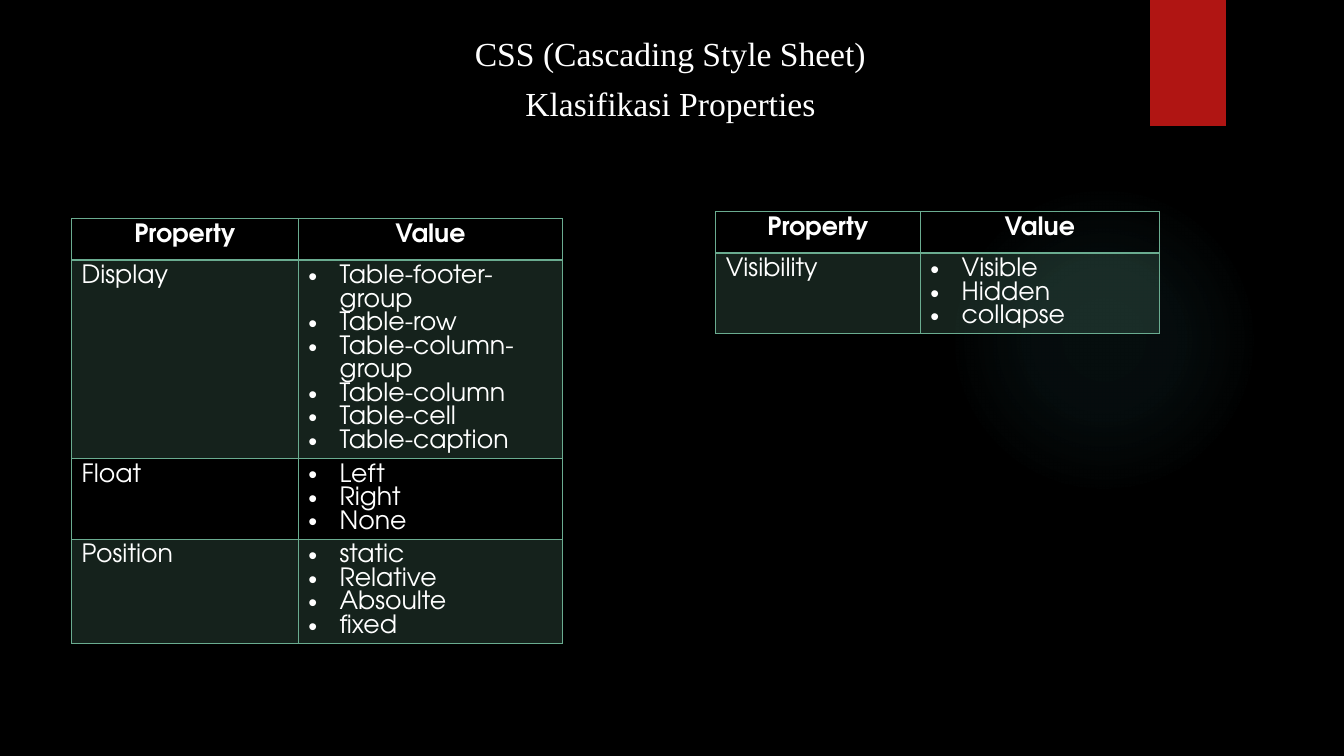
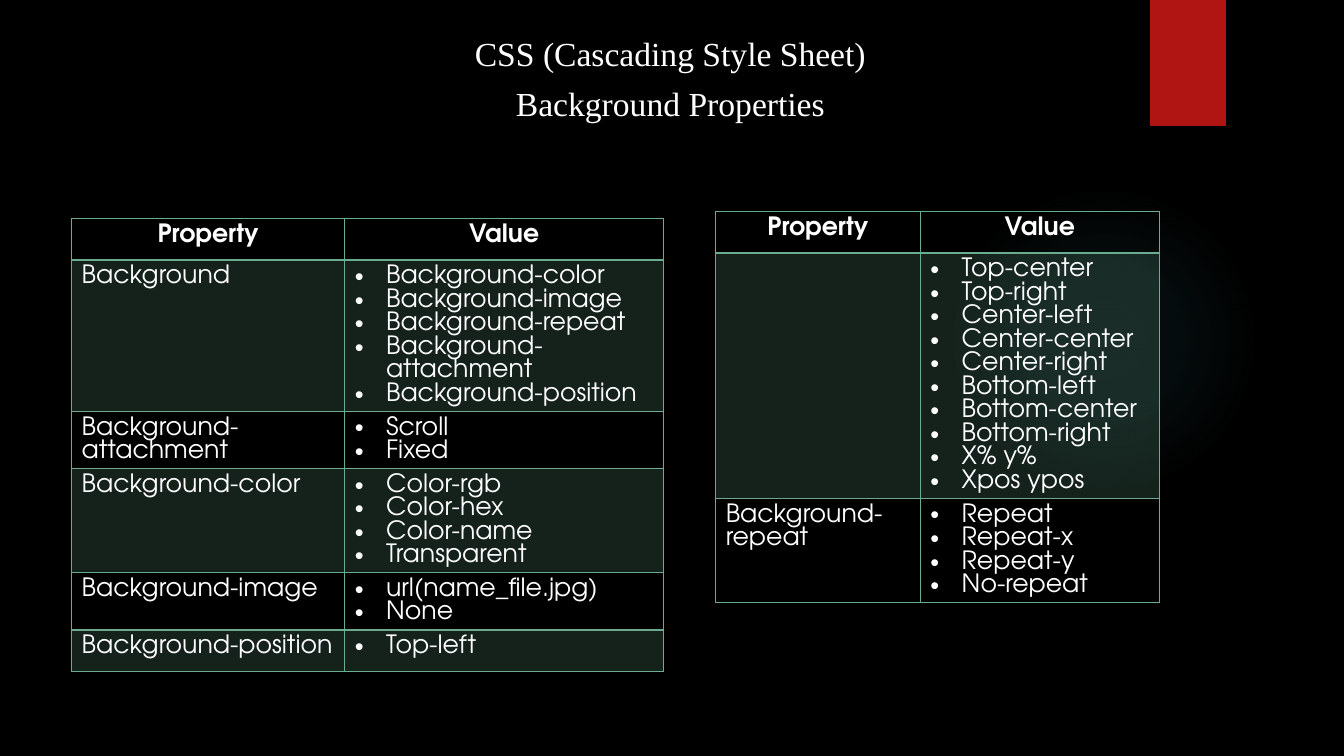
from lxml.etree import Element, SubElement as Sub
from pptx import Presentation
from pptx.dml.color import RGBColor
from pptx.enum.shapes import MSO_SHAPE as Form
from pptx.enum.text import MSO_ANCHOR as Anchor, MSO_AUTO_SIZE as Fit, PP_ALIGN as Align
from pptx.oxml.ns import qn
from pptx.util import Inches, Pt

BLACK = RGBColor(0, 0, 0)
WHITE = RGBColor(255, 255, 255)
RED = RGBColor(0xB0, 0x15, 0x13)
GREEN = RGBColor(0x6A, 0xAC, 0x90)
TEAL = RGBColor(0x50, 0xB9, 0xC1)
SERIF, SANS = "Times New Roman", "TeX Gyre Adventor"

WIDE, HIGH = Inches(13.333), Inches(7.5)
ROW = Inches(0.41)
DENT = Inches(0.31)
SPLIT = 6 / 13
TITLE = (12.38, 4.27, 75, 13.2)
GLOW = (70.58, 24.4, 23.1, 41.07)
FLAG = (85.58, 0, 5.63, 16.67)
RIGHT = (53.25, 28, 33)


def place(x, y, w, h):
    """Turn percentages of the slide into lengths."""
    return (int(WIDE * x / 100), int(HIGH * y / 100),
            int(WIDE * w / 100), int(HIGH * h / 100))


def tint(fill, color, alpha):
    """Add a colour with an opacity in percent to a fill element."""
    node = Sub(fill, qn("a:srgbClr"), val=str(color))
    Sub(node, qn("a:alpha"), val=str(alpha * 1000))


def write(para, text, font, size, bold=False):
    """Add one white run to a paragraph."""
    run = para.add_run()
    run.text = text
    run.font.name, run.font.size, run.font.bold = font, Pt(size), bold
    run.font.color.rgb = WHITE


def add_form(slide, form, box):
    """Add a plain shape without line or shadow."""
    shape = slide.shapes.add_shape(form, *place(*box))
    shape.shadow.inherit = False
    shape.line.fill.background()
    return shape


def add_decor(slide, layout):
    """Give the layout its black ground, soft glow and red flag."""
    ground = layout.background.fill
    ground.solid()
    ground.fore_color.rgb = BLACK
    glow = add_form(slide, Form.OVAL, GLOW)
    fade = Element(qn("a:gradFill"), rotWithShape="1")
    stops = Sub(fade, qn("a:gsLst"))
    for pos, alpha in ((0, 7), (36, 6), (69, 0), (100, 0)):
        tint(Sub(stops, qn("a:gs"), pos=str(pos * 1000)), TEAL, alpha)
    ring = Sub(fade, qn("a:path"), path="circle")
    Sub(ring, qn("a:fillToRect"), dict.fromkeys("ltrb", "50000"))
    glow.element.spPr.find(qn("a:prstGeom")).addnext(fade)
    flag = add_form(slide, Form.RECTANGLE, FLAG)
    flag.fill.solid()
    flag.fill.fore_color.rgb = RED
    for shape in (glow, flag):
        layout.shapes.element.append(shape.element)


def add_title(slide, box, lines):
    """Set the centred title lines in the title placeholder."""
    title = slide.shapes.title
    title.left, title.top, title.width, title.height = place(*box)
    frame = title.text_frame
    frame.word_wrap, frame.auto_size = True, Fit.NONE
    frame.vertical_anchor = Anchor.TOP
    for i, line in enumerate(lines):
        para = frame.add_paragraph() if i else frame.paragraphs[0]
        para.alignment = Align.CENTER
        para.line_spacing, para.space_before = 0.9, Pt(10)
        write(para, line, SERIF, 24)


def style_cell(cell, row):
    """Draw the borders of a cell and the band of odd rows."""
    props = cell._tc.get_or_add_tcPr()
    thick = {"T": row == 1, "B": row == 0}
    for side in "LRTB":
        width = Pt(2 if thick.get(side) else 1)
        line = Sub(props, qn("a:ln" + side), w=str(width))
        Sub(Sub(line, qn("a:solidFill")), qn("a:srgbClr"), val=str(GREEN))
    if row % 2:
        tint(Sub(props, qn("a:solidFill")), GREEN, 20)
    else:
        cell.fill.background()


def fill_cell(cell, items, head, list_):
    """Write a heading, a name or a bulleted list into a cell."""
    frame = cell.text_frame
    for i, item in enumerate(items):
        para = frame.add_paragraph() if i else frame.paragraphs[0]
        if head:
            para.alignment = Align.CENTER
        elif list_:
            props = para._p.get_or_add_pPr()
            props.set("marL", str(DENT))
            props.set("indent", str(-DENT))
            Sub(props, qn("a:buFont"), typeface="Arial")
            Sub(props, qn("a:buChar"), char="•")
        write(para, item, SANS, 18, head)


def add_grid(slide, box, data):
    """Add a table of properties and their values."""
    rows = [("Property", ["Value"])] + data
    left, top, width, height = place(*box)
    frame = slide.shapes.add_table(len(rows), 2, left, top, width, height)
    table = frame.table
    table.columns[0].width = int(width * SPLIT)
    table.columns[1].width = width - int(width * SPLIT)
    for i, (name, values) in enumerate(rows):
        table.rows[i].height = ROW
        for j, items in enumerate(([name] if name else [], values)):
            cell = table.cell(i, j)
            style_cell(cell, i)
            fill_cell(cell, items, i == 0, j == 1)
    frame.height = height


def add_page(deck, layout, topic, grids):
    """Add a slide with a title and its tables."""
    slide = deck.slides.add_slide(layout)
    add_title(slide, TITLE, ("CSS (Cascading Style Sheet)", topic))
    for box, data in grids:
        add_grid(slide, box, data)
    return slide


FLOW = [
    ("Display", ["Table-footer-group", "Table-row", "Table-column-group",
                 "Table-column", "Table-cell", "Table-caption"]),
    ("Float", ["Left", "Right", "None"]),
    ("Position", ["static", "Relative", "Absoulte", "fixed"]),
]
SIGHT = [("Visibility", ["Visible", "Hidden", "collapse"])]
BACK = [
    ("Background", ["Background-color", "Background-image", "Background-repeat",
                    "Background-attachment", "Background-position"]),
    ("Background-attachment", ["Scroll", "Fixed"]),
    ("Background-color", ["Color-rgb", "Color-hex", "Color-name", "Transparent"]),
    ("Background-image", ["url(name_file.jpg)", "None"]),
    ("Background-position", ["Top-left"]),
]
MORE = [
    ("", ["Top-center", "Top-right", "Center-left", "Center-center",
          "Center-right", "Bottom-left", "Bottom-center", "Bottom-right",
          "X% y%", "Xpos ypos"]),
    ("Background-repeat", ["Repeat", "Repeat-x", "Repeat-y", "No-repeat"]),
]

deck = Presentation()
deck.slide_width, deck.slide_height = WIDE, HIGH
layout = deck.slide_layouts[5]
first = add_page(deck, layout, "Klasifikasi Properties", [
    ((5.33, 28.93, 36.53, 69.47), FLOW), ((*RIGHT, 18.8), SIGHT)])
add_decor(first, layout)
add_page(deck, layout, "Background Properties", [
    ((5.33, 28.93, 44.03, 72.13), BACK), ((*RIGHT, 64.13), MORE)])
deck.save("out.pptx")
